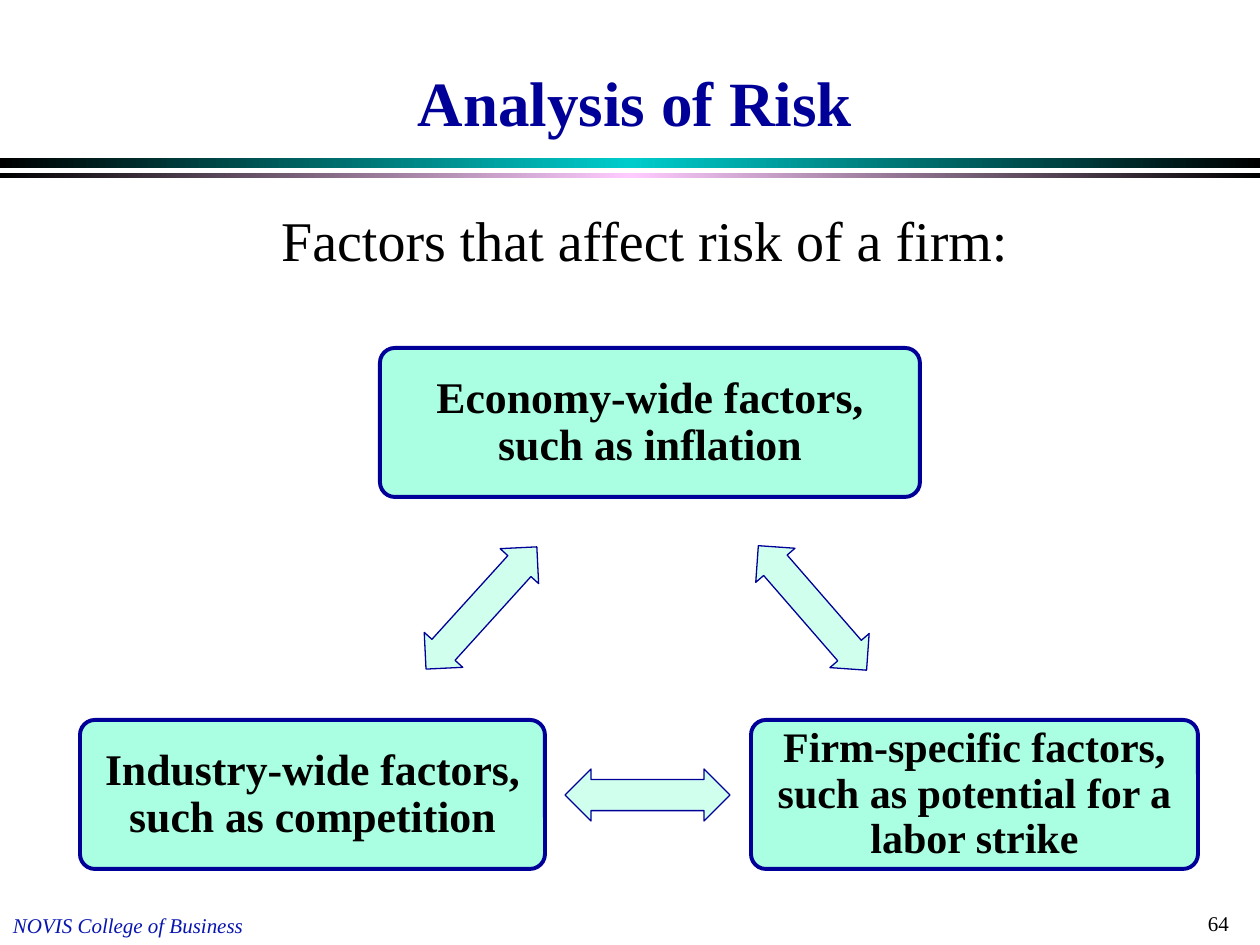
from copy import deepcopy

from pptx import Presentation
from pptx.dml.color import RGBColor
from pptx.enum.shapes import MSO_SHAPE as SHAPE
from pptx.enum.text import MSO_ANCHOR as ANCHOR, PP_ALIGN as ALIGN
from pptx.oxml.ns import qn
from pptx.util import Emu, Pt

PX = 914400 // 126
W, H = 1260, 945
NAVY, MINT, PALE = "000099", "AAFFE2", "D1FFEE"

# Content: boxes are left, top, width, height in px
BANDS = [((0, 158, W, 10), "00CCCC"), ((0, 173, W, 5), "FFCCFF")]
TEXTS = [
    ("Analysis of Risk", (64, 35, 1142, 110),
     dict(size=36, color=NAVY, bold=True, align=ALIGN.CENTER, anchor=ANCHOR.BOTTOM)),
    ("Factors that affect risk of a firm:", (146, 199, 998, 118),
     dict(size=32, align=ALIGN.CENTER)),
    ("NOVIS College of Business", (0, 907, 300, 38),
     dict(size=12, color="0915AF", italic=True)),
    ("64", (1195, 905, 65, 38), dict(size=12)),
]
FACTORS = [
    ("Economy-wide factors, such as inflation", 380, 348, 540, 25),
    ("Firm-specific factors, such as potential for a labor strike", 751, 720, 447, 24),
    ("Industry-wide factors, such as competition", 80, 720, 465, 25),
]
FACTOR_H = 149
ARROWS = [(812, 608, 49), (647, 795, 180), (481, 608, 312.2)]  # centre x, y, angle
ARROW_W, ARROW_H = 165, 52


def px(*values):
    return [Emu(v * PX) for v in values]


def rgb(color):
    return RGBColor.from_string(color)


def write(sp, text, size, color="000000", bold=False, italic=False,
          align=ALIGN.LEFT, anchor=ANCHOR.TOP, inset=(13, 6), spacing=1.0):
    tf = sp.text_frame
    tf.word_wrap = True
    tf.vertical_anchor = anchor
    tf.margin_left = tf.margin_right = Emu(inset[0] * PX)
    tf.margin_top = tf.margin_bottom = Emu(inset[1] * PX)
    p = tf.paragraphs[0]
    p.alignment, p.line_spacing = align, spacing
    r = p.add_run()
    r.text = text
    f = r.font
    f.name, f.size, f.bold, f.italic = "Times New Roman", Pt(size), bold, italic
    f.color.rgb = rgb(color)


def add_shape(s, kind, box, fill=None, line=None):
    sp = s.shapes.add_shape(kind, *px(*box))
    sp.shadow.inherit = False
    if fill:
        sp.fill.solid()
        sp.fill.fore_color.rgb = rgb(fill)
    if line:
        sp.line.color.rgb = rgb(NAVY)
        sp.line.width = Pt(line)
    else:
        sp.line.fill.background()
    return sp


def add_band(s, box, middle):
    sp = add_shape(s, SHAPE.RECTANGLE, box)
    sp.fill.gradient()
    sp.fill.gradient_angle = 0
    stops = sp._element.spPr.find(".//" + qn("a:gsLst"))
    stops.append(deepcopy(stops[0]))
    for i, (stop, color) in enumerate(zip(sp.fill.gradient_stops, ("000000", middle, "000000"))):
        stop.position = i / 2
        stop.color.rgb = rgb(color)


prs = Presentation()
prs.slide_width, prs.slide_height = px(W, H)
s = prs.slides.add_slide(prs.slide_layouts[6])

# Rule under the title
for box, middle in BANDS:
    add_band(s, box, middle)

# Title, lead-in and footer
for text, box, style in TEXTS:
    write(s.shapes.add_textbox(*px(*box)), text, **style)

# Factor boxes
for text, x, y, w, size in FACTORS:
    sp = add_shape(s, SHAPE.ROUNDED_RECTANGLE, (x, y, w, FACTOR_H), MINT, 2.25)
    sp.adjustments[0] = 0.1
    write(sp, text, size, bold=True, align=ALIGN.CENTER, anchor=ANCHOR.MIDDLE,
          inset=(17, 17), spacing=0.9)

# Arrows between the factors
for cx, cy, angle in ARROWS:
    box = (cx - ARROW_W // 2, cy - ARROW_H // 2, ARROW_W, ARROW_H)
    sp = add_shape(s, SHAPE.LEFT_RIGHT_ARROW, box, PALE, 0.75)
    sp.adjustments[0], sp.adjustments[1] = 0.6, 0.5
    sp.rotation = angle

prs.save("out.pptx")
